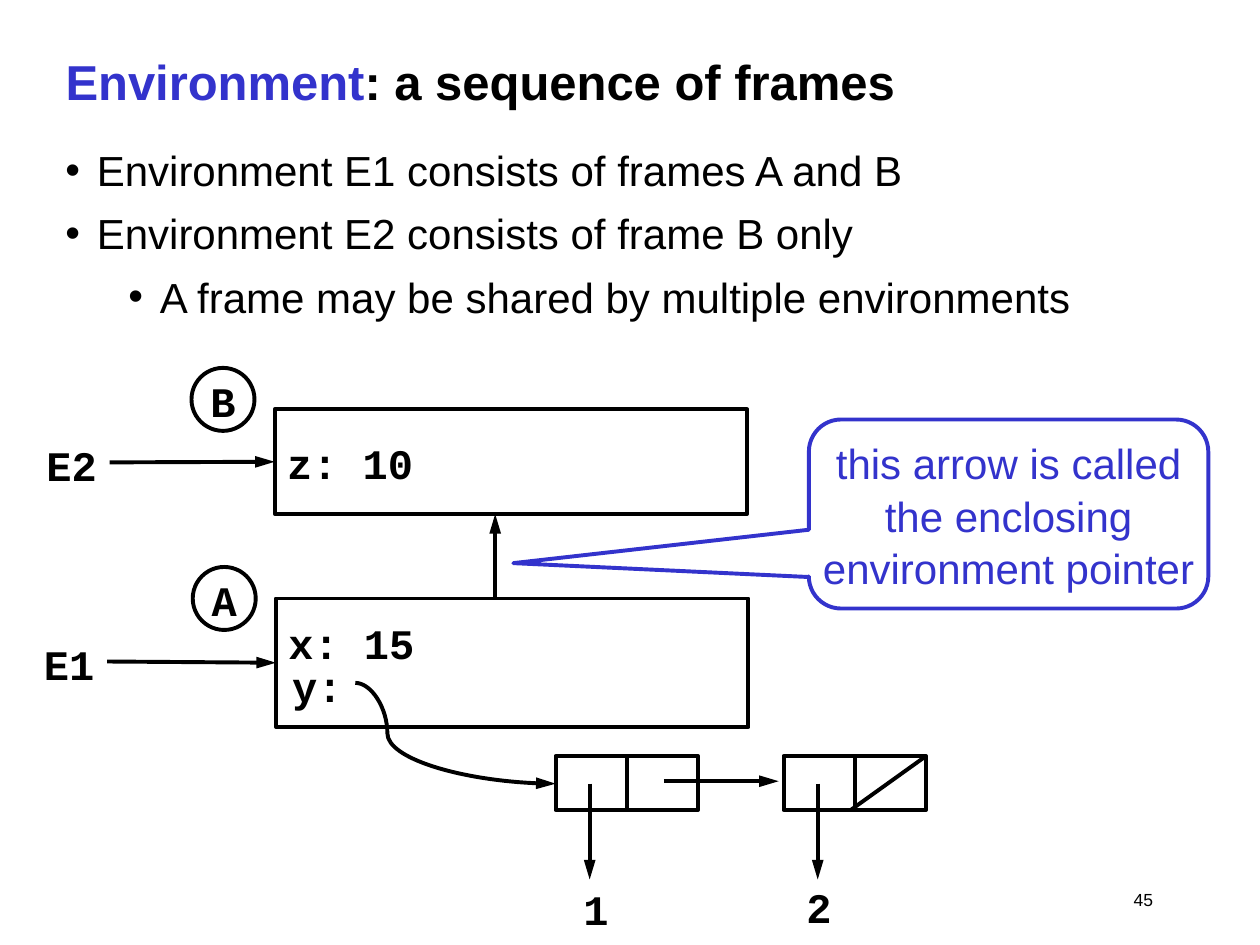
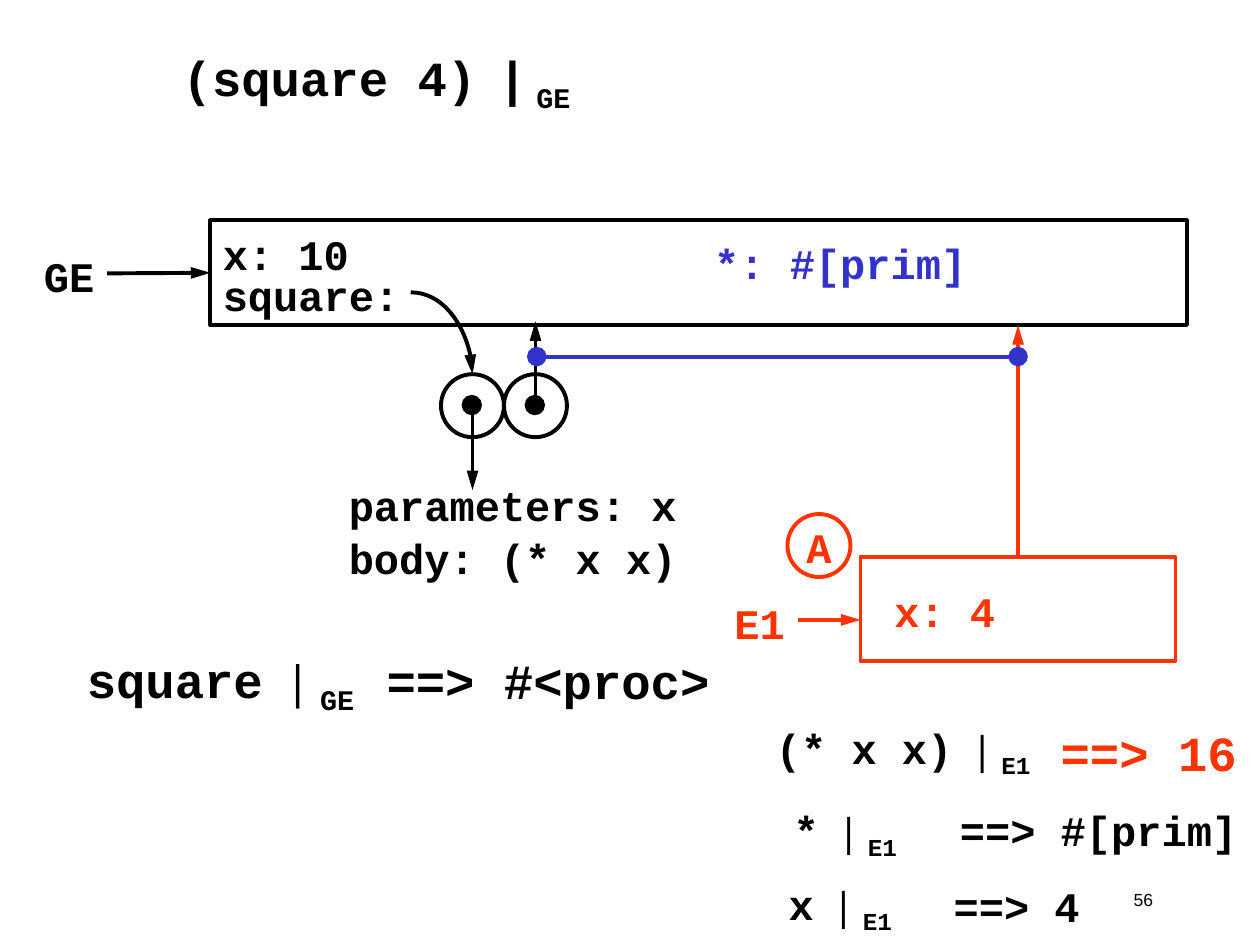
from dataclasses import dataclass

from lxml import etree
from pptx import Presentation
from pptx.dml.color import RGBColor
from pptx.enum.shapes import MSO_CONNECTOR, MSO_SHAPE
from pptx.enum.text import MSO_ANCHOR, MSO_AUTO_SIZE, PP_ALIGN
from pptx.oxml.ns import qn
from pptx.util import Inches, Pt

RECTANGLE = MSO_SHAPE.RECTANGLE
OVAL = MSO_SHAPE.OVAL
CALLOUT = MSO_SHAPE.ROUNDED_RECTANGULAR_CALLOUT
STRAIGHT = MSO_CONNECTOR.STRAIGHT
CURVE = MSO_CONNECTOR.CURVE
LEFT, CENTER, RIGHT = PP_ALIGN.LEFT, PP_ALIGN.CENTER, PP_ALIGN.RIGHT
TOP, MIDDLE = MSO_ANCHOR.TOP, MSO_ANCHOR.MIDDLE
NO_AUTO_SIZE = MSO_AUTO_SIZE.NONE

BLACK, BLUE, RED = "000000", "3333CC", "FF3300"
SANS, CODE, SERIF = "Arial", "Courier New", "Times New Roman"
SITE_TOP, SITE_LEFT, SITE_BOTTOM = 0, 1, 2


def rgb(value):
    return RGBColor.from_string(value)


@dataclass
class Run:
    text: str
    font: str = CODE
    color: str = BLACK
    bold: bool = True
    subscript: bool = False


def evaluation(expression, environment, bar_font=SERIF):
    """Runs for an expression evaluated in an environment."""
    return [Run(expression + " "), Run("|", bar_font),
            Run(" " + environment, subscript=True)]


class Deck:
    line_width = Pt(2.25)
    text_size = 24
    title_size = 28
    line_spacing = 1.05

    def __init__(self):
        self.presentation = Presentation()
        self.presentation.slide_width = Inches(10)
        self.presentation.slide_height = Inches(7.5)
        self.slide = None

    def new_slide(self, title_runs, number, indent=0):
        layout = self.presentation.slide_layouts[5]
        self.slide = self.presentation.slides.add_slide(layout)
        title = self.slide.shapes.title
        title.left, title.top = Inches(0.42), Inches(0.17)
        title.width, title.height = Inches(9.17), Inches(0.92)
        self.fill_text(title.text_frame, title_runs, self.title_size, anchor=MIDDLE)
        properties = title.text_frame.paragraphs[0]._p.get_or_add_pPr()
        properties.set("marL", str(Inches(indent)))
        self.text(6.83, 7, 2.42, 0.33, [Run(str(number), SANS, bold=False)],
                  size=10, align=RIGHT)

    def add_runs(self, paragraph, runs, size):
        for item in runs:
            for index, line in enumerate(item.text.split("\n")):
                if index:
                    paragraph.add_line_break()
                run = paragraph.add_run()
                run.text = line
                run.font.name = item.font
                run.font.size = Pt(size)
                run.font.bold = item.bold
                run.font.color.rgb = rgb(item.color)
                if item.subscript:
                    run._r.get_or_add_rPr().set("baseline", "-25000")

    def fill_text(self, frame, runs, size, align=LEFT, anchor=TOP, wrap=True):
        frame.auto_size = NO_AUTO_SIZE
        frame.word_wrap = wrap
        frame.vertical_anchor = anchor
        paragraph = frame.paragraphs[0]
        paragraph.alignment = align
        paragraph.line_spacing = self.line_spacing
        self.add_runs(paragraph, runs, size)

    def text(self, left, top, width, height, runs, size=text_size,
             align=LEFT, anchor=TOP):
        box = self.slide.shapes.add_textbox(
            Inches(left), Inches(top), Inches(width), Inches(height))
        self.fill_text(box.text_frame, runs, size, align, anchor,
                       wrap=align == RIGHT)

    def code(self, left, top, width, text, color=BLACK, size=text_size):
        self.text(left, top, width, 0.5, [Run(text, color=color)], size)

    def bullets(self, top, height, items):
        """Bulleted lines, each given as (indent, text)."""
        box = self.slide.shapes.add_textbox(
            Inches(0.42), Inches(top), Inches(9.25), Inches(height))
        frame = box.text_frame
        frame.word_wrap = True
        for index, (indent, text) in enumerate(items):
            paragraph = frame.add_paragraph() if index else frame.paragraphs[0]
            properties = paragraph._p.get_or_add_pPr()
            properties.set("marL", str(Inches(indent)))
            properties.set("indent", str(-Inches(0.25)))
            font = etree.SubElement(properties, qn("a:buFont"))
            font.set("typeface", SANS)
            etree.SubElement(properties, qn("a:buChar")).set("char", "•")
            paragraph.line_spacing = self.line_spacing
            if index:
                paragraph.space_before = Pt(6)
            self.add_runs(paragraph, [Run(text, SANS, bold=False)], self.text_size)

    def shape(self, kind, left, top, width, height, color=BLACK, fill=None):
        shape = self.slide.shapes.add_shape(
            kind, Inches(left), Inches(top), Inches(width), Inches(height))
        shape.shadow.inherit = False
        if fill:
            shape.fill.solid()
            shape.fill.fore_color.rgb = rgb(fill)
        else:
            shape.fill.background()
        shape.line.color.rgb = rgb(color)
        shape.line.width = self.line_width
        return shape

    def frame(self, left, top, width, height, text="", color=BLACK, top_inset=None):
        """An environment frame; with top_inset its text hangs from the top."""
        shape = self.shape(RECTANGLE, left, top, width, height, color)
        if text:
            anchor = MIDDLE
            if top_inset is not None:
                anchor = TOP
                shape.text_frame.margin_top = Inches(top_inset)
            self.fill_text(shape.text_frame, [Run(text, color=color)],
                           self.text_size, anchor=anchor, wrap=False)
        return shape

    def badge(self, left, top, letter, color=BLACK):
        circle = self.shape(OVAL, left, top, 0.5, 0.5, color)
        self.fill_text(circle.text_frame, [Run(letter, color=color)],
                       self.text_size, CENTER, MIDDLE, wrap=False)

    def callout(self, left, top, width, height, text, adjustments):
        shape = self.shape(CALLOUT, left, top, width, height, BLUE)
        for index, value in enumerate(adjustments):
            shape.adjustments[index] = value
        self.fill_text(shape.text_frame, [Run(text, SANS, BLUE, bold=False)],
                       self.text_size, CENTER, MIDDLE, wrap=False)

    def line(self, start, end, color=BLACK, head=None, tail=None, kind=STRAIGHT,
             begin=None, finish=None):
        """A connector; begin and finish are (shape, site) pairs to join."""
        connector = self.slide.shapes.add_connector(
            kind, *(Inches(value) for value in (*start, *end)))
        if begin:
            connector.begin_connect(*begin)
        if finish:
            connector.end_connect(*finish)
        connector.line.color.rgb = rgb(color)
        connector.line.width = self.line_width
        outline = connector.line._get_or_add_ln()
        for tag, end_type in (("a:headEnd", head), ("a:tailEnd", tail)):
            if end_type:
                mark = etree.SubElement(outline, qn(tag))
                mark.set("type", end_type)
                mark.set("w", "lg" if end_type == "oval" else "med")
                mark.set("len", "lg")
        etree.SubElement(connector._element.spPr, qn("a:effectLst"))
        return connector

    def arrow(self, start, end, color=BLACK, **joins):
        return self.line(start, end, color, tail="triangle", **joins)

    def curved_arrow(self, start, end, preset, bend=None):
        connector = self.arrow(start, end, kind=CURVE)
        geometry = connector._element.spPr.find(qn("a:prstGeom"))
        geometry.set("prst", preset)
        if bend is not None:
            values = geometry.find(qn("a:avLst"))
            if values is None:
                values = etree.SubElement(geometry, qn("a:avLst"))
            guide = etree.SubElement(values, qn("a:gd"))
            guide.set("name", "adj1")
            guide.set("fmla", f"val {round(bend * 100000)}")


def frames_slide(deck):
    deck.new_slide([Run("Environment", SANS, BLUE),
                    Run(": a sequence of frames", SANS)], 45)
    deck.bullets(1.08, 0.5, [(0.25, "Environment E1 consists of frames A and B")])
    deck.bullets(1.58, 1, [
        (0.25, "Environment E2 consists of frame B only"),
        (0.75, "A frame may be shared by multiple environments")])

    # Frames and the names that point to them
    frame_b = deck.frame(2.18, 3.25, 3.75, 0.83, "z: 10")
    frame_a = deck.frame(2.19, 4.75, 3.75, 1.02, "x: 15", top_inset=0.13)
    deck.badge(1.52, 2.92, "B")
    deck.badge(1.53, 4.5, "A")
    deck.code(0.27, 3.42, 0.6, "E2")
    deck.code(0.25, 5, 0.6, "E1")
    deck.code(2.22, 5.17, 0.6, "y:")
    deck.arrow((0.87, 3.67), (2.18, 3.67), finish=(frame_b, SITE_LEFT))
    deck.arrow((0.85, 5.25), (2.19, 5.26), finish=(frame_a, SITE_LEFT))
    deck.arrow((3.93, 4.75), (3.93, 4.08))

    # List cells holding 1 and 2
    for left, value, value_left, value_width, value_height in (
            (4.41, "1", 4.36, 0.74, 0.44), (6.22, "2", 6.15, 0.7, 0.41)):
        pair = deck.shape(RECTANGLE, left, 6, 1.13, 0.43)
        middle = left + 0.56
        deck.line((middle, 6), (middle, 6.43),
                  begin=(pair, SITE_TOP), finish=(pair, SITE_BOTTOM))
        deck.arrow((left + 0.27, 6.22), (left + 0.27, 6.98))
        deck.text(value_left, 6.98, value_width, value_height, [Run(value)],
                  align=CENTER, anchor=MIDDLE)
    deck.arrow((5.27, 6.2), (6.18, 6.2))
    deck.line((6.75, 6.43), (7.35, 6))
    deck.curved_arrow((2.82, 5.42), (4.41, 6.22), "curvedConnector3", 0.16)

    deck.callout(6.42, 3.33, 3.17, 1.5,
                 "this arrow is called\nthe enclosing\nenvironment pointer",
                 (-1.24, 0.26, 0.17))


def square_slide(deck):
    deck.new_slide(evaluation("(square 4)", "GE", SANS), 56, indent=0.93)

    # Global environment
    global_frame = deck.frame(1.67, 1.75, 7.75, 0.83, "x: 10", top_inset=0.04)
    deck.code(0.25, 1.92, 0.6, "GE")
    deck.arrow((0.85, 2.17), (1.67, 2.17), finish=(global_frame, SITE_LEFT))
    deck.code(1.67, 2.07, 1.6, "square:")
    deck.code(5.57, 1.82, 2.2, "*: #[prim]", BLUE)

    # Procedure object: code pointer and environment pointer
    for left, tip in ((3.5, 3.89), (4, 2.55)):
        deck.shape(OVAL, left, 2.97, 0.5, 0.5)
        deck.shape(OVAL, left + 0.18, 3.15, 0.13, 0.13, fill=BLACK)
        deck.arrow((left + 0.25, 3.22), (left + 0.25, tip))
    deck.curved_arrow((3.26, 2.32), (3.75, 2.97), "curvedConnector2")
    deck.text(2.67, 3.74, 2.8, 0.9, [Run("parameters: x\nbody: (* x x)")])

    # Frame A made by the call
    call_frame = deck.frame(6.83, 4.42, 2.5, 0.83, color=RED)
    deck.badge(6.25, 4.08, "A", RED)
    deck.code(7, 4.58, 1, "x: 4", RED)
    deck.code(5.73, 4.67, 0.6, "E1", RED)
    deck.arrow((6.33, 4.92), (6.83, 4.92), RED)
    deck.arrow((8.08, 4.42), (8.08, 2.58), RED, begin=(call_frame, SITE_TOP))
    deck.line((4.26, 2.83), (8.08, 2.83), BLUE, head="oval", tail="oval")

    # Evaluation steps
    deck.text(0.59, 5.08, 2.32, 0.63, evaluation("square", "GE"), deck.title_size)
    deck.code(2.97, 5.09, 2.76, "==> #<proc>", size=deck.title_size)
    for left, top, width, expression in (
            (6.06, 5.66, 2.43, "(* x x)"), (6.2, 6.31, 1.02, "*"),
            (6.16, 6.9, 1.02, "x")):
        deck.text(left, top, width, 0.56, evaluation(expression, "E1"))
    deck.code(8.32, 5.66, 1.6, "==> 16", RED, deck.title_size)
    deck.code(7.52, 6.32, 2.4, "==> #[prim]")
    deck.code(7.47, 6.92, 1.2, "==> 4")


def main():
    deck = Deck()
    frames_slide(deck)
    square_slide(deck)
    deck.presentation.save("out.pptx")


if __name__ == "__main__":
    main()
